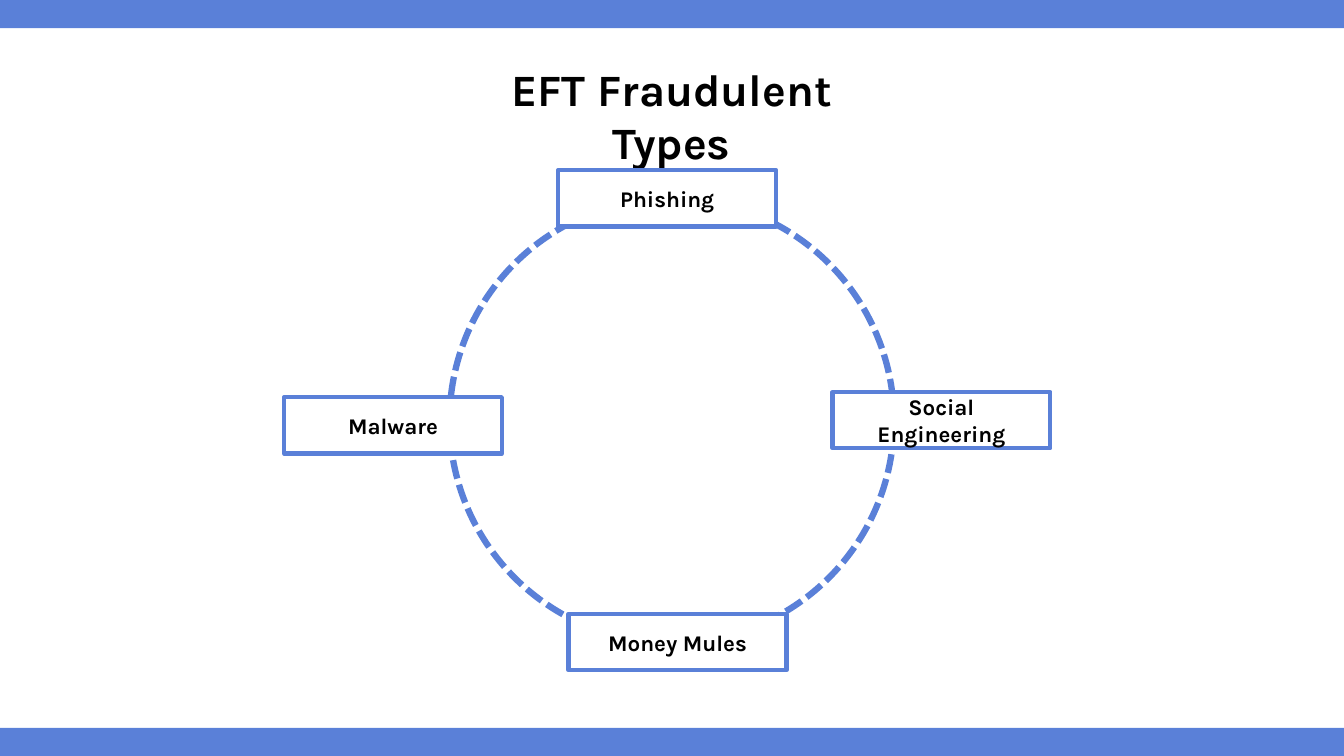
"""Build the slide on EFT fraud types: four labels around a dashed ring."""
from dataclasses import dataclass

from pptx import Presentation
from pptx.dml.color import RGBColor
from pptx.enum.dml import MSO_LINE
from pptx.enum.shapes import MSO_SHAPE
from pptx.enum.text import MSO_ANCHOR, PP_ALIGN
from pptx.shapes.autoshape import Shape
from pptx.slide import Slide
from pptx.util import Cm, Pt

BLUE, WHITE, BLACK = "5A80D8", "FFFFFF", "000000"
PAGE_WIDTH, PAGE_HEIGHT = 33.87, 19.05
BAR_HEIGHT = 0.71
LABEL_WIDTH, LABEL_HEIGHT = 5.49, 1.42


@dataclass(frozen=True)
class Area:
    """Position and size in centimetres."""
    left: float
    top: float
    width: float
    height: float

    def lengths(self) -> tuple[Cm, Cm, Cm, Cm]:
        """Return the four lengths in drawing order."""
        return Cm(self.left), Cm(self.top), Cm(self.width), Cm(self.height)


@dataclass(frozen=True)
class Label:
    """A fraud type and the top left corner of its box."""
    text: str
    left: float
    top: float


LABELS = (
    Label("Social Engineering", 20.98, 9.88),
    Label("Malware", 7.16, 10.01),
    Label("Phishing", 14.07, 4.29),
    Label("Money Mules", 14.33, 15.47),
)


def color(value: str) -> RGBColor:
    """Turn a hex string into a colour."""
    return RGBColor.from_string(value)


def write_text(box: Shape, text: str, size: float, anchor: MSO_ANCHOR) -> None:
    """Write one centred bold paragraph into a box."""
    frame = box.text_frame
    frame.word_wrap = True
    frame.vertical_anchor = anchor
    para = frame.paragraphs[0]
    para.alignment = PP_ALIGN.CENTER
    span = para.add_run()
    span.text = text
    formats = {"name": "Karla", "size": Pt(size), "bold": True}
    for name, value in formats.items():
        setattr(span.font, name, value)
    span.font.color.rgb = color(BLACK)


def add_figure(page: Slide, kind: MSO_SHAPE, area: Area,
               fill: str | None = None, line_width: float = 0) -> Shape:
    """Add a flat shape, optionally filled and outlined in blue."""
    figure = page.shapes.add_shape(kind, *area.lengths())
    figure.shadow.inherit = False
    if fill:
        figure.fill.solid()
        figure.fill.fore_color.rgb = color(fill)
    else:
        figure.fill.background()
    if line_width:
        figure.line.color.rgb = color(BLUE)
        figure.line.width = Pt(line_width)
    else:
        figure.line.fill.background()
    return figure


def add_title(page: Slide) -> None:
    """Add the slide title."""
    box = page.shapes.add_textbox(*Area(11.2, 1.42, 11.46, 1.63).lengths())
    write_text(box, "EFT Fraudulent Types", 32, MSO_ANCHOR.TOP)


def add_label(page: Slide, label: Label) -> None:
    """Add the box of one fraud type."""
    area = Area(label.left, label.top, LABEL_WIDTH, LABEL_HEIGHT)
    box = add_figure(page, MSO_SHAPE.RECTANGLE, area, WHITE, 3)
    write_text(box, label.text, 16, MSO_ANCHOR.MIDDLE)


def main() -> None:
    """Build and save the deck."""
    deck = Presentation()
    deck.slide_width, deck.slide_height = Cm(PAGE_WIDTH), Cm(PAGE_HEIGHT)
    page = deck.slides.add_slide(deck.slide_layouts[6])
    add_title(page)
    ring = add_figure(page, MSO_SHAPE.OVAL, Area(11.33, 5, 11.2, 11.2), line_width=4.5)
    ring.line.dash_style = MSO_LINE.SQUARE_DOT
    for label in LABELS:
        add_label(page, label)
    for top in (0, PAGE_HEIGHT - BAR_HEIGHT):
        add_figure(page, MSO_SHAPE.RECTANGLE, Area(0, top, PAGE_WIDTH, BAR_HEIGHT), BLUE)
    deck.save("out.pptx")


if __name__ == "__main__":
    main()
